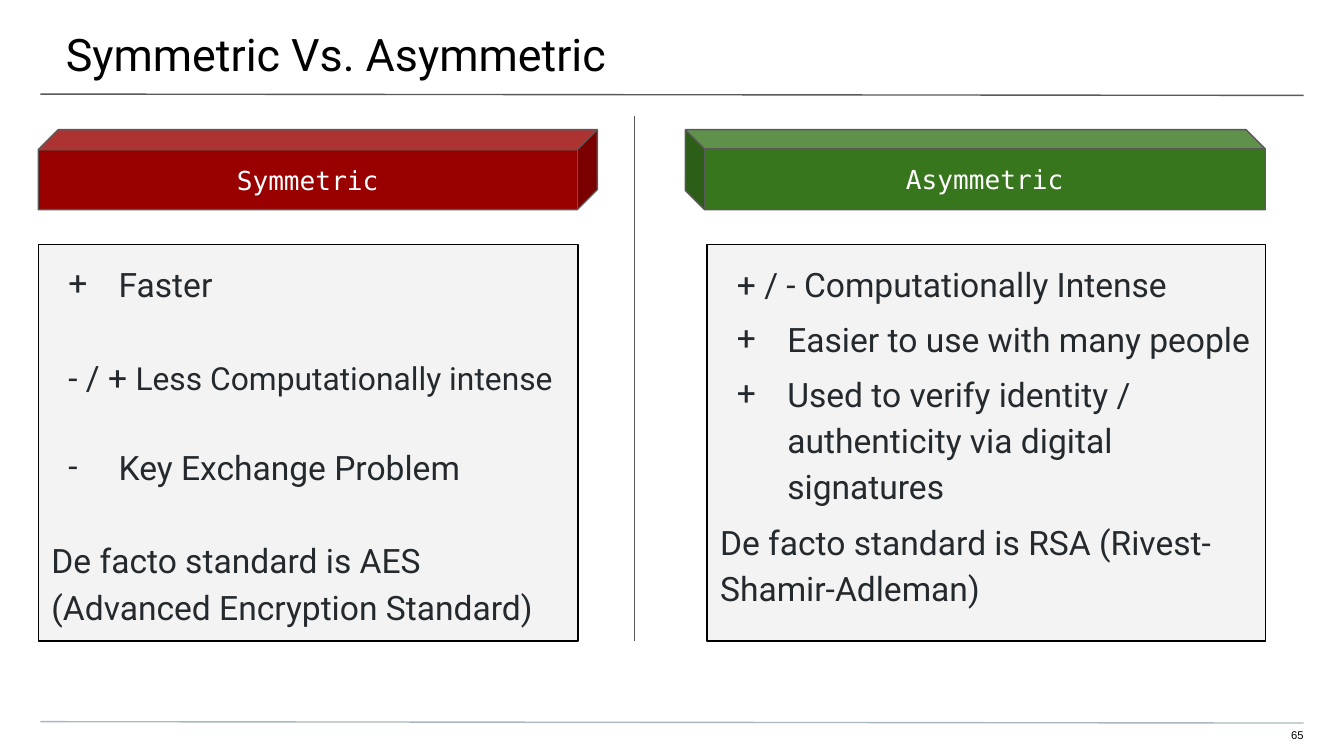
from lxml import etree
from pptx import Presentation
from pptx import util as u
from pptx.dml.color import RGBColor
from pptx.enum import shapes, text
from pptx.oxml.ns import qn

PX = 4572
INK, GREY = "24292E", "595959"
ALIGN = text.PP_ALIGN


def px(length):
    """Turn px into EMU, at 200 px to the inch."""
    return u.Emu(length * PX)


def colour(value):
    """Turn a hex string into a colour."""
    return RGBColor.from_string(value)


def set_frame(frame, insets, anchor=text.MSO_ANCHOR.TOP):
    """Set the insets (left, top, right, bottom), wrapping and anchor of a text frame."""
    frame.margin_left, frame.margin_top, frame.margin_right, frame.margin_bottom = map(px, insets)
    frame.word_wrap = True
    frame.auto_size = text.MSO_AUTO_SIZE.NONE
    frame.vertical_anchor = anchor


def add_span(para, words, size=18, font="Roboto", ink=INK):
    """Add one formatted run to a paragraph."""
    span = para.add_run()
    span.text = words
    span.font.size = u.Pt(size)
    span.font.name = font
    span.font.color.rgb = colour(ink)


def write(para, words, align=ALIGN.LEFT, bullet=None, indent=0, spacing=None, before=0, **font):
    """Write one paragraph with its layout, an optional bullet and its font."""
    para.alignment = align
    para.line_spacing = spacing
    para.space_before = u.Pt(before)
    props = para._p.get_or_add_pPr()
    props.set("marL", str(px(100 if bullet else 0)))
    props.set("indent", str(px(-75 if bullet else indent)))
    if bullet:
        tint = etree.SubElement(props, qn("a:buClr"))
        etree.SubElement(tint, qn("a:srgbClr"), val=INK)
        etree.SubElement(props, qn("a:buFont"), typeface="Roboto")
        etree.SubElement(props, qn("a:buChar"), char=bullet)
    else:
        etree.SubElement(props, qn("a:buNone"))
    add_span(para, words, **font)


def add_rule(page, start, end, ink=GREY):
    """Draw a thin straight line."""
    rule = page.shapes.add_connector(
        shapes.MSO_CONNECTOR.STRAIGHT, *map(px, start), *map(px, end))
    rule.line.color.rgb = colour(ink)
    rule.line.width = u.Pt(0.75)
    etree.SubElement(rule._element.spPr, qn("a:effectLst"))


def add_block(page, kind, box, fill, line):
    """Add a filled, outlined shape without shadow."""
    block = page.shapes.add_shape(kind, *map(px, box))
    block.shadow.inherit = False
    block.fill.solid()
    block.fill.fore_color.rgb = colour(fill)
    block.line.color.rgb = colour(line)
    block.line.width = u.Pt(0.75)
    return block


def add_banner(page, box, words, fill, depth, flipped=False):
    """Add a cube that carries a column heading."""
    cube = add_block(page, shapes.MSO_SHAPE.CUBE, box, fill, GREY)
    cube.adjustments[0] = depth
    if flipped:
        cube._element.spPr.xfrm.set("flipH", "1")
    set_frame(cube.text_frame, (20, 20, 20, 20), text.MSO_ANCHOR.MIDDLE)
    write(cube.text_frame.paragraphs[0], words, align=ALIGN.CENTER,
          size=14, font="DejaVu Sans Mono", ink="FFFFFF")


def add_panel(page, box, points):
    """Add a framed panel of points, each a text and its format."""
    panel = add_block(page, shapes.MSO_SHAPE.RECTANGLE, box, "F3F3F3", "000000")
    frame = panel.text_frame
    set_frame(frame, (20, 20, 20, 20))
    for index, (words, style) in enumerate(points):
        para = frame.add_paragraph() if index else frame.paragraphs[0]
        style = dict(style)
        tail = style.pop("tail", None)
        write(para, words, **style)
        if tail:
            add_span(para, tail, size=17)


def add_title(page, box, words):
    """Place and format the title."""
    title = page.shapes.title
    title.left, title.top, title.width, title.height = map(px, box)
    set_frame(title.text_frame, (100, 40, 60, 20))
    write(title.text_frame.paragraphs[0], words, size=24, ink="000000")


def add_number(page, box, words):
    """Add the page number."""
    number = page.shapes.add_textbox(*map(px, box))
    set_frame(number.text_frame, (0, 0, 0, 20))
    write(number.text_frame.paragraphs[0], words, align=ALIGN.RIGHT,
          size=6, font="Arial", ink="000000")


def add_comparison(page, box):
    """Lay out two columns in a box, with a line between them."""
    left, top, width, height = box
    right = left + width
    panel_top, panel_height = top + 171, height - 171
    add_rule(page, (left + 887, top - 21), (left + 887, top + height))
    add_banner(page, (left, top, 832, 119), "Symmetric", "990000", 0.25)
    add_banner(page, (right - 863, top, 863, 119), "Asymmetric", "38761D", 0.24, flipped=True)
    add_panel(page, (left, panel_top, 803, panel_height), [
        ("Faster", dict(bullet="+", spacing=1.15)),
        ("- / + ", dict(indent=25, spacing=1.15, before=25, tail="Less Computationally intense")),
        ("Key Exchange Problem", dict(bullet="-", spacing=1.15, before=23.5)),
        ("De facto standard is AES (Advanced Encryption Standard)",
         dict(spacing=1.15, before=25)),
    ])
    add_panel(page, (right - 831, panel_top, 831, panel_height), [
        ("+ / - Computationally Intense", dict(indent=25, spacing=1.14)),
        ("Easier to use with many people", dict(bullet="+", spacing=1.14, before=5)),
        ("Used to verify identity / authenticity via digital signatures",
         dict(bullet="+", spacing=1.14, before=5)),
        ("De facto standard is RSA (Rivest-Shamir-Adleman)", dict(spacing=1.15, before=5)),
    ])


def main():
    """Build the slide and save the deck."""
    deck = Presentation()
    deck.slide_width, deck.slide_height = px(2000), px(1125)
    page = deck.slides.add_slide(deck.slide_layouts[5])
    add_rule(page, (60, 140), (1940, 142))
    add_rule(page, (60, 1074), (1940, 1076), "A9B7C0")
    add_title(page, (-2, 0, 2006, 116), "Symmetric Vs. Asymmetric")
    add_number(page, (1882, 1084, 58, 24), "65")
    add_comparison(page, (57, 193, 1826, 761))
    deck.save("out.pptx")


if __name__ == "__main__":
    main()
